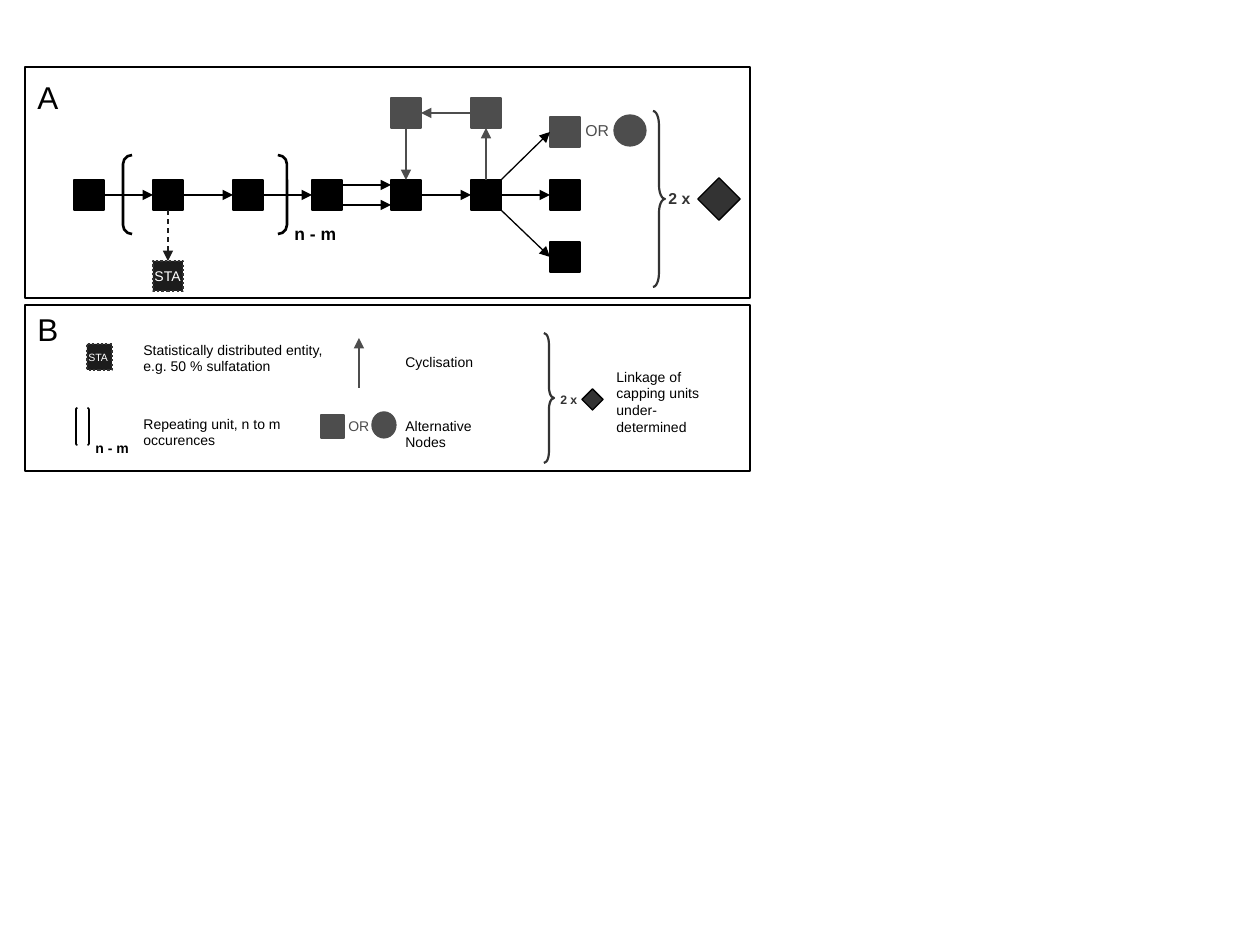
from lxml import etree
from pptx import Presentation
from pptx.dml.color import RGBColor
from pptx.enum.dml import MSO_LINE
from pptx.enum.shapes import MSO_CONNECTOR, MSO_SHAPE
from pptx.oxml.ns import qn
from pptx.util import Pt

EMU_PER_PX = 914400 / 126
BLACK, GREY, DARK, CHARCOAL, WHITE = "000000", "4D4D4D", "333333", "1C1C1C", "FFFFFF"
TOP, LEFT, BOTTOM, RIGHT = range(4)

# Panels: left, top, width, height
PANELS = [(25, 305, 725, 166), (25, 67, 725, 231)]

# Structure nodes: one row, a ring above it and branches at its end
NODE = 30
COLUMNS = [74, 153, 233, 312, 391, 471, 550]
ROW_TOP = 180
OTHER_NODES = {
    "ring left": (391, 98, GREY),
    "ring right": (471, 98, GREY),
    "branch up": (550, 117, GREY),
    "branch down": (550, 242, BLACK),
}
DOUBLE_BOND_START = 3
DOUBLE_BOND_OFFSET = 10
FORK = 5

# Kind, left, top, width, height, format
SYMBOLS = [
    (MSO_SHAPE.DOUBLE_BRACKET, 123, 155, 164, 79, dict(line=BLACK, weight=1.5, adjust=0.115)),
    (MSO_SHAPE.DOUBLE_BRACKET, 76, 408, 13, 37, dict(line=BLACK, weight=1, adjust=0.115)),
    (MSO_SHAPE.RIGHT_BRACE, 653, 111, 12, 176, dict(line=DARK, weight=1.25, adjust=1.15)),
    (MSO_SHAPE.RIGHT_BRACE, 544, 333, 10, 130, dict(line=DARK, weight=1.25, adjust=1.1)),
    (MSO_SHAPE.OVAL, 614, 115, 32, 31, dict(fill=GREY, line=GREY)),
    (MSO_SHAPE.OVAL, 372, 412, 24, 26, dict(fill=GREY, line=GREY)),
    (MSO_SHAPE.RECTANGLE, 321, 415, 23, 23, dict(fill=GREY, line=GREY)),
    (MSO_SHAPE.RECTANGLE, 704, 184, 30, 30, dict(fill=DARK, line=BLACK, rotation=45)),
    (MSO_SHAPE.RECTANGLE, 585, 392, 15, 15, dict(fill=DARK, line=BLACK, rotation=45)),
    (MSO_SHAPE.RECTANGLE, 87, 344, 25, 26,
     dict(fill=CHARCOAL, line=DARK, weight=1.25, dash=MSO_LINE.ROUND_DOT)),
]

# Lines of text, left, top, width, height, size, colour, bold
TEXTS = [
    (["A"], 25, 72, 45, 48, 18, BLACK, False),
    (["B"], 25, 304, 45, 48, 18, BLACK, False),
    (["n - m"], 282, 217, 72, 33, 10, BLACK, True),
    (["n - m"], 83, 433, 64, 29, 8, BLACK, True),
    (["OR"], 573, 115, 54, 30, 9, GREY, False),
    (["OR"], 336, 411, 50, 30, 8, GREY, False),
    (["2 x"], 656, 183, 56, 30, 9, DARK, True),
    (["2 x"], 548, 386, 50, 26, 7, DARK, True),
    (["STA"], 142, 261, 58, 29, 8, WHITE, False),
    (["STA"], 76, 345, 50, 25, 6, WHITE, False),
    (["Statistically distributed entity,", "e.g. 50 % sulfatation"],
     131, 335, 215, 44, 8, BLACK, False),
    (["Repeating unit, n to m", "occurences"], 131, 409, 170, 44, 8, BLACK, False),
    (["Cyclisation"], 393, 347, 100, 29, 8, BLACK, False),
    (["Alternative Nodes"], 393, 411, 120, 44, 8, BLACK, False),
    (["Linkage of", "capping units", "under-determined"], 604, 362, 120, 76, 8, BLACK, False),
]


def px(length):
    return round(length * EMU_PER_PX)


def rgb(colour):
    return RGBColor.from_string(colour)


def add_symbol(page, kind, left, top, width, height, style):
    shape = page.shapes.add_shape(kind, px(left), px(top), px(width), px(height))
    shape.shadow.inherit = False
    if "fill" in style:
        shape.fill.solid()
        shape.fill.fore_color.rgb = rgb(style["fill"])
    else:
        shape.fill.background()
    shape.line.color.rgb = rgb(style["line"])
    shape.line.width = Pt(style.get("weight", 0.75))
    if "dash" in style:
        shape.line.dash_style = style["dash"]
    if "adjust" in style:
        shape.adjustments[0] = style["adjust"]
    shape.rotation = style.get("rotation", 0)
    return shape


def add_node(page, left, top, colour=BLACK):
    return add_symbol(page, MSO_SHAPE.RECTANGLE, left, top, NODE, NODE,
                      dict(fill=colour, line=colour))


def add_arrow(page, start, end, colour=BLACK, dash=None):
    """Draw an arrow; each end is a point in px or a (shape, side) pair to join."""
    points = [(0, 0) if hasattr(tip[0], "shape_id") else tip for tip in (start, end)]
    arrow = page.shapes.add_connector(
        MSO_CONNECTOR.STRAIGHT, *(px(value) for point in points for value in point))
    for tip, join in ((start, arrow.begin_connect), (end, arrow.end_connect)):
        if hasattr(tip[0], "shape_id"):
            join(*tip)
    arrow.line.color.rgb = rgb(colour)
    arrow.line.width = Pt(0.75)
    if dash:
        arrow.line.dash_style = dash
    properties = arrow.line._get_or_add_ln()
    etree.SubElement(properties, qn("a:tailEnd"), type="triangle")
    etree.SubElement(properties.getparent(), qn("a:effectLst"))


def add_text(page, lines, left, top, width, height, size, colour, bold):
    box = page.shapes.add_textbox(px(left), px(top), px(width), px(height))
    frame = box.text_frame
    frame.word_wrap = True
    frame.text = "\n".join(lines)
    for para in frame.paragraphs:
        font = para.runs[0].font
        for name, value in dict(name="Arial", size=Pt(size), bold=bold).items():
            setattr(font, name, value)
        font.color.rgb = rgb(colour)


def add_structure(page):
    row = [add_node(page, left, ROW_TOP) for left in COLUMNS]
    other = {name: add_node(page, *place) for name, place in OTHER_NODES.items()}
    sta = add_symbol(page, MSO_SHAPE.RECTANGLE, COLUMNS[1], 261, NODE, NODE,
                     dict(fill=CHARCOAL, line=DARK, weight=1.25, dash=MSO_LINE.ROUND_DOT))

    middle = ROW_TOP + NODE // 2
    for index, (node, following) in enumerate(zip(row, row[1:])):
        if index == DOUBLE_BOND_START:
            for y in (middle - DOUBLE_BOND_OFFSET, middle + DOUBLE_BOND_OFFSET):
                add_arrow(page, (COLUMNS[index] + NODE, y), (COLUMNS[index + 1], y))
        else:
            add_arrow(page, (node, RIGHT), (following, LEFT))

    fork_x = COLUMNS[FORK] + NODE
    add_arrow(page, (fork_x, ROW_TOP), (other["branch up"], LEFT))
    add_arrow(page, (fork_x, ROW_TOP + NODE), (other["branch down"], LEFT))
    add_arrow(page, (row[FORK], TOP), (other["ring right"], BOTTOM), GREY)
    add_arrow(page, (other["ring right"], LEFT), (other["ring left"], RIGHT), GREY)
    add_arrow(page, (other["ring left"], BOTTOM), (row[FORK - 1], TOP), GREY)
    add_arrow(page, (row[1], BOTTOM), (sta, TOP), CHARCOAL, MSO_LINE.DASH)


def main():
    deck = Presentation()
    deck.slide_width, deck.slide_height = px(1260), px(945)
    page = deck.slides.add_slide(deck.slide_layouts[6])
    for panel in PANELS:
        add_symbol(page, MSO_SHAPE.RECTANGLE, *panel, dict(fill=WHITE, line=BLACK))
    add_structure(page)
    for symbol in SYMBOLS:
        add_symbol(page, *symbol)
    add_arrow(page, (359, 388), (359, 338), GREY)
    for text in TEXTS:
        add_text(page, *text)
    deck.save("out.pptx")


if __name__ == "__main__":
    main()
